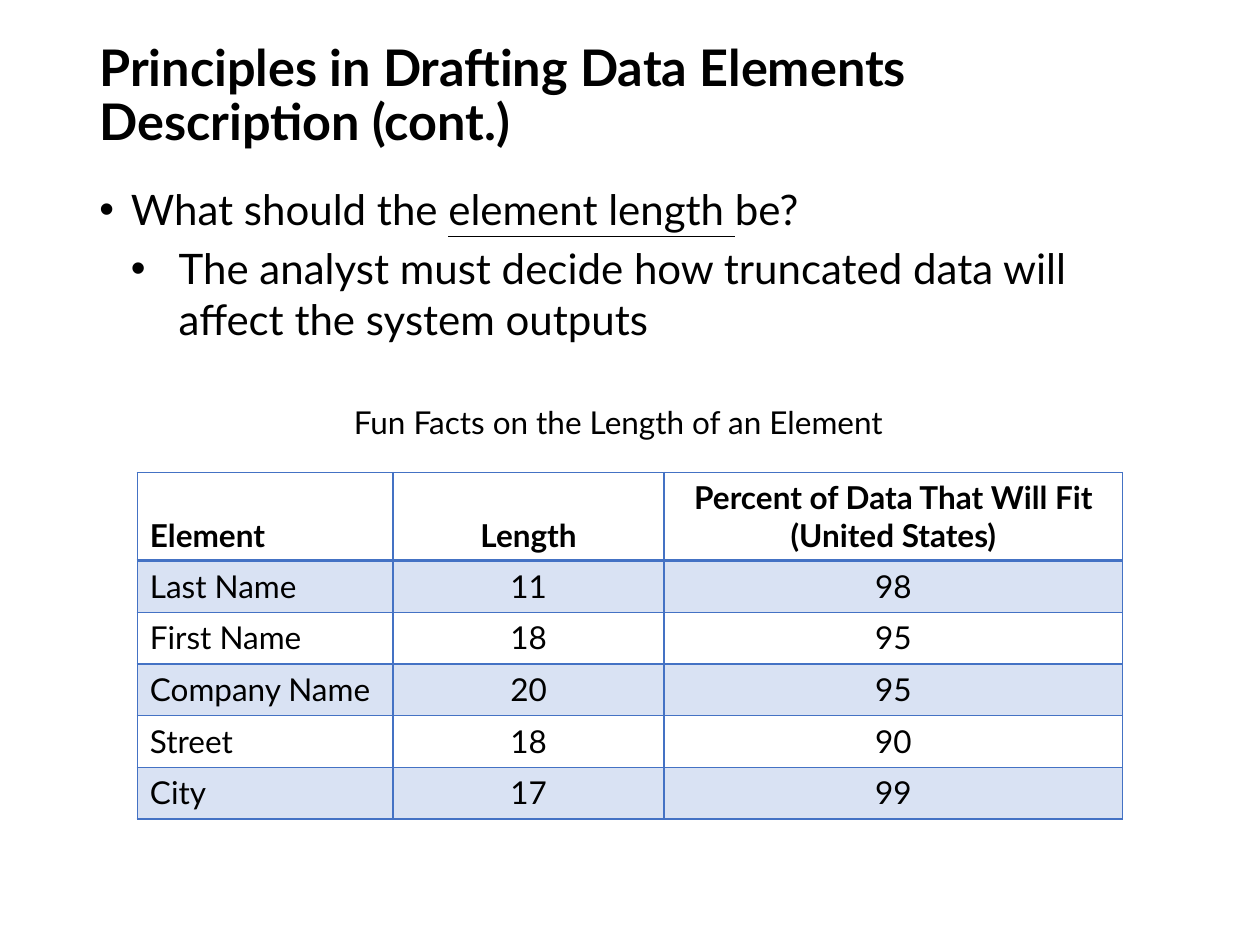
from lxml.etree import SubElement
from pptx import Presentation
from pptx.dml.color import RGBColor
from pptx.enum.text import MSO_ANCHOR, PP_ALIGN
from pptx.oxml.ns import qn
from pptx.util import Inches, Pt

COLORS = {"text": "000000", "accent": "4472C4"}
FONT = "Lato"

HEADER = ["Element", "Length", "Percent of Data That Will Fit (United States)"]
RECORDS = [
    ["Last Name", "11", "98"],
    ["First Name", "18", "95"],
    ["Company Name", "20", "95"],
    ["Street", "18", "90"],
    ["City", "17", "99"],
]
COLUMN_WIDTHS = [2.03, 2.15, 3.64]
ROW_HEIGHT = 0.41


def add_span(para, text, size, **formats):
    span = para.add_run()
    span.text = text
    values = {"name": FONT, "size": Pt(size), **formats}
    for name, value in values.items():
        setattr(span.font, name, value)
    span.font.color.rgb = RGBColor.from_string(COLORS["text"])


def add_box(page, left, top, width, height, anchor=MSO_ANCHOR.TOP):
    box = page.shapes.add_textbox(
        Inches(left), Inches(top), Inches(width), Inches(height))
    box.text_frame.word_wrap = True
    box.text_frame.vertical_anchor = anchor
    return box.text_frame


def set_bullet(para, margin, hanging):
    props = para._p.get_or_add_pPr()
    props.set("marL", str(Inches(margin)))
    props.set("indent", str(-Inches(hanging)))
    SubElement(props, qn("a:buFont"), typeface="Arial")
    SubElement(props, qn("a:buChar"), char="•")


def add_title(page, left, top, width, height):
    frame = add_box(page, left, top, width, height, MSO_ANCHOR.MIDDLE)
    para = frame.paragraphs[0]
    para.line_spacing = 0.9
    add_span(para, "Principles in Drafting Data Elements Description (cont.)",
             28.8, bold=True)


def add_body(page, left, top, width, height):
    frame = add_box(page, left, top, width, height)
    question = frame.paragraphs[0]
    question.space_before = Pt(10)
    set_bullet(question, 0.25, 0.25)
    add_span(question, "What should the ", 24)
    add_span(question, "element length ", 24, underline=True)
    add_span(question, "be?", 24)

    answer = frame.add_paragraph()
    answer.level = 1
    answer.space_before = Pt(5)
    set_bullet(answer, 0.63, 0.38)
    add_span(answer, "The analyst must decide how truncated data will "
                     "affect the system outputs", 24)


def add_caption(page, left, top, width, height):
    frame = add_box(page, left, top, width, height)
    add_span(frame.paragraphs[0], "Fun Facts on the Length of an Element", 18)


def style_cell(cell, bottom_width, shaded):
    props = cell._tc.get_or_add_tcPr()
    # Borders come before the fill
    widths = {"lnL": 1, "lnR": 1, "lnT": 1, "lnB": bottom_width}
    for side, width in widths.items():
        line = SubElement(props, qn(f"a:{side}"), w=str(Pt(width)))
        paint = SubElement(line, qn("a:solidFill"))
        SubElement(paint, qn("a:srgbClr"), val=COLORS["accent"])
    if shaded:
        cell.fill.solid()
        cell.fill.fore_color.rgb = RGBColor.from_string(COLORS["accent"])
        color = props.find(qn("a:solidFill")).find(qn("a:srgbClr"))
        SubElement(color, qn("a:alpha"), val="20000")
    else:
        cell.fill.background()


def add_length_table(page, left, top):
    rows = [HEADER] + RECORDS
    table = page.shapes.add_table(
        len(rows), len(HEADER), Inches(left), Inches(top),
        Inches(sum(COLUMN_WIDTHS)), Inches(ROW_HEIGHT * len(rows))).table
    table.horz_banding = False
    for column, width in zip(table.columns, COLUMN_WIDTHS):
        column.width = Inches(width)
    for r, texts in enumerate(rows):
        table.rows[r].height = Inches(ROW_HEIGHT)
        is_header = r == 0
        for c, text in enumerate(texts):
            cell = table.cell(r, c)
            style_cell(cell, 2 if is_header else 1, r % 2 == 1)
            cell.vertical_anchor = (
                MSO_ANCHOR.BOTTOM if is_header else MSO_ANCHOR.TOP)
            para = cell.text_frame.paragraphs[0]
            para.alignment = PP_ALIGN.CENTER if c else PP_ALIGN.LEFT
            add_span(para, text, 18, bold=is_header)


def main():
    deck = Presentation()
    deck.slide_width, deck.slide_height = Inches(10), Inches(7.5)
    page = deck.slides.add_slide(deck.slide_layouts[6])
    add_title(page, 0.69, 0.4, 8.62, 0.74)
    add_body(page, 0.69, 1.41, 8.62, 5.34)
    add_length_table(page, 1.09, 3.75)
    add_caption(page, 2.71, 3.15, 5, 0.4)
    deck.save("out.pptx")


if __name__ == "__main__":
    main()
